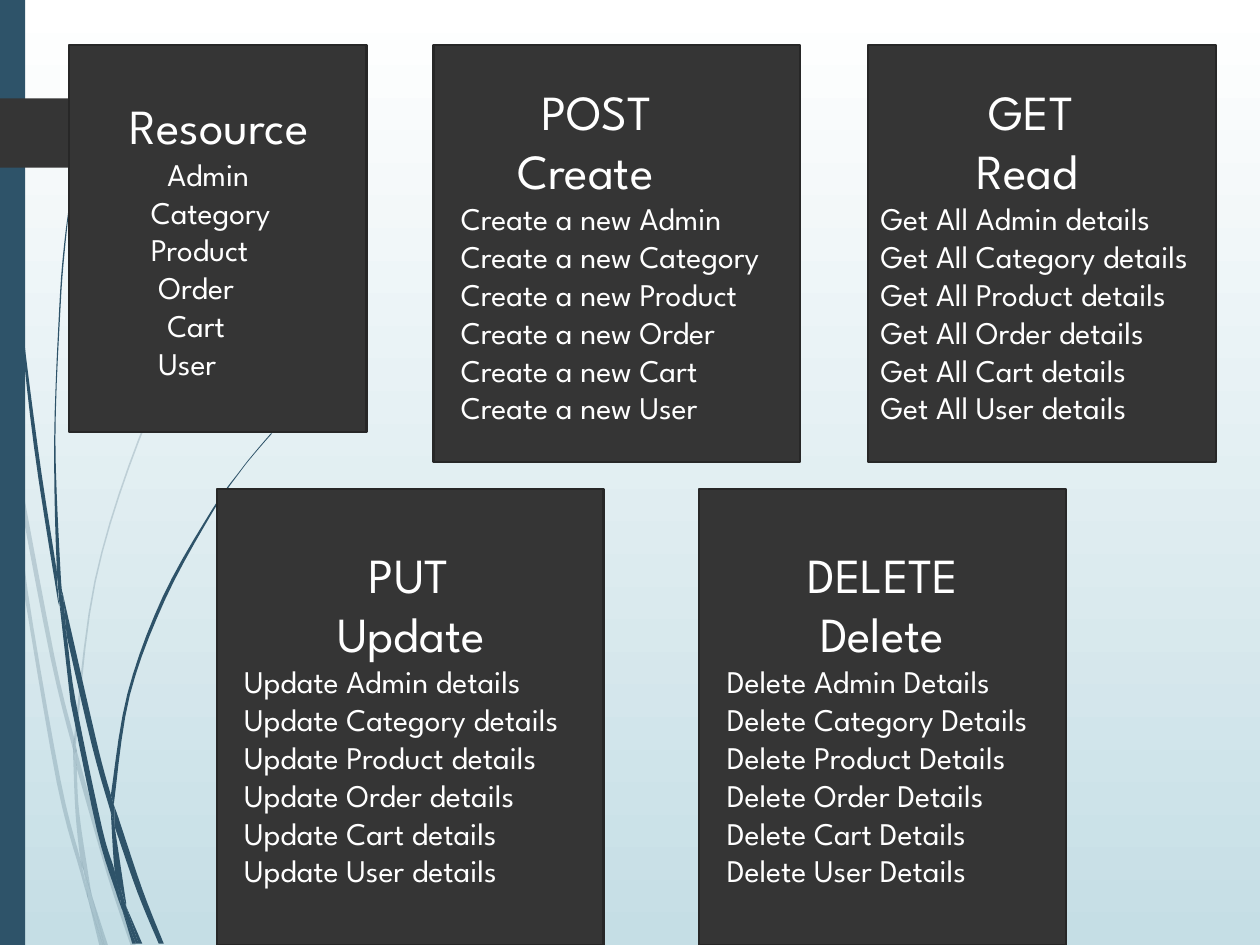
"""Builds a slide of API methods for each resource, over a backdrop of curved strands."""
import lxml.etree
import pptx
import pptx.dml.color
import pptx.enum.shapes
import pptx.enum.text
import pptx.oxml.ns
import pptx.util

Inches = pptx.util.Inches
Pt = pptx.util.Pt
RGB = pptx.dml.color.RGBColor
RECT = pptx.enum.shapes.MSO_SHAPE.RECTANGLE

BLUE = RGB(0x2E, 0x53, 0x69)
DARK = RGB(0x35, 0x35, 0x35)
EDGE = RGB(0x27, 0x27, 0x27)
WHITE = RGB(0xFF, 0xFF, 0xFF)
PALE = RGB(0xC5, 0xDE, 0xE5)

HEAD = {"name": "League Spartan", "size": Pt(28)}
BODY = {"name": "League Spartan", "size": Pt(18)}
FRAME = {"word_wrap": True, "vertical_anchor": pptx.enum.text.MSO_ANCHOR.MIDDLE}
NAMES = ["Admin", "Category", "Product", "Order", "Cart", "User"]

FAINT = [
    ([(0.08, 3.5), (0.06, 3.22), (0, 2.82)], [(0, 2.99), (0.07, 3.44)]),
    ([(0.1, 3.45), (0.43, 5.2), (0.59, 5.86)],
     [(0.59, 5.99), (0.4, 5.22), (0.12, 3.76)]),
    ([(0.61, 5.96), (0.64, 6.07), (0.88, 6.92), (1.08, 7.51)],
     [(1.04, 7.51), (0.85, 6.94), (0.61, 6.1)]),
    ([(0.73, 7.11), (0.86, 7.51)], [(0.83, 7.51)]),
    ([(0.08, 3.5), (0.12, 3.76), (0.22, 4.69), (0.48, 6.19), (0.64, 6.83), (0.69, 7.07)],
     [(0.7, 7.14), (0.64, 6.93), (0.45, 6.21), (0.19, 4.7)]),
    ([(0.58, 5.99), (0.6, 6.46), (0.64, 6.83), (0.67, 6.92), (0.73, 7.11)],
     [(0.72, 7.06), (0.63, 6.46), (0.61, 6.1), (0.61, 6.08)]),
    ([(0.61, 5.96), (0.61, 5.84), (0.76, 4.62), (1.11, 3.49), (1.59, 2.45),
      (1.87, 1.98), (2.01, 1.75), (2.17, 1.54)],
     [(2.17, 1.53), (2.01, 1.75), (1.86, 1.97), (1.58, 2.44), (1.1, 3.48),
      (0.75, 4.61), (0.59, 5.84), (0.59, 5.86)]),
    ([(0.7, 7.14), (0.79, 7.51)], [(0.82, 7.51)]),
    ([(0.61, 6.08), (0.61, 6.1), (0.61, 5.96)], [(0.59, 5.86), (0.58, 5.99)]),
    ([(0.65, 6.83), (0.69, 7.07), (0.7, 7.14), (0.82, 7.51)],
     [(0.83, 7.51), (0.73, 7.11), (0.67, 6.92)]),
]
BOLD = [
    ([(0.02, 0), (0.03, 0.48), (0.05, 1.1), (0.14, 2.33), (0.27, 3.55), (0.46, 4.77)],
     [(0.47, 4.81), (0.45, 4.57), (0.45, 4.53), (0.3, 3.55), (0.15, 2.32),
      (0.06, 1.09), (0.04, 0.48), (0.03, 0)]),
    ([(0.5, 4.72), (0.77, 5.9), (0.88, 6.31)],
     [(0.88, 6.45), (0.73, 5.92), (0.53, 5.05)]),
    ([(0.91, 6.41), (0.94, 6.49), (1.13, 7.06), (1.3, 7.49)],
     [(1.26, 7.49), (1.09, 7.08), (0.91, 6.56)]),
    ([(0.47, 4.77), (0.53, 5.05), (0.6, 5.56), (0.81, 6.57), (0.91, 6.91), (0.96, 7.17)],
     [(0.97, 7.22), (0.92, 7.08), (0.77, 6.59), (0.56, 5.57)]),
    ([(0.5, 4.72), (0.48, 4.53), (0.44, 3.49), (0.48, 2.45), (0.52, 1.93), (0.58, 1.41)],
     [(0.58, 1.41), (0.51, 1.93), (0.47, 2.45), (0.43, 3.49), (0.45, 4.49), (0.49, 4.72)]),
    ([(1, 7.19), (1.13, 7.49)], [(1.1, 7.49)]),
    ([(0.45, 4.49), (0.49, 4.72), (0.5, 4.72), (0.53, 5.05)], [(0.47, 4.77), (0.45, 4.53)]),
    ([(0.91, 6.41), (0.91, 6.33), (1.03, 5.52), (1.31, 4.76), (1.69, 4.06),
      (1.91, 3.74), (2.03, 3.59), (2.16, 3.44)],
     [(2.15, 3.44), (2.03, 3.58), (1.91, 3.73), (1.68, 4.05), (1.29, 4.74),
      (1.01, 5.51), (0.88, 6.31)]),
    ([(0.97, 7.22), (1.05, 7.49)], [(1.08, 7.49)]),
    ([(0.88, 6.45), (0.91, 6.91), (0.96, 7.06), (1, 7.19)],
     [(1, 7.16), (0.91, 6.56), (0.9, 6.51)]),
    ([(0.88, 6.45), (0.9, 6.51), (0.91, 6.56), (0.91, 6.41)], [(0.88, 6.31)]),
    ([(0.91, 6.91), (0.96, 7.17), (0.97, 7.22), (1.08, 7.49)],
     [(1.1, 7.49), (1, 7.19), (0.96, 7.06)]),
]
TAG = [(0, 0.78), (1.21, 0.78), (1.24, 0.79), (1.49, 1.04), (1.49, 1.07),
       (1.24, 1.32), (1.21, 1.33), (0, 1.33)]

CARDS = [
    ((0.55, 0.36, 2.36, 3.07), [("Resource", 0.38)],
     "{}", [0.68, 0.55, 0.55, 0.61, 0.68, 0.61]),
    ((3.44, 0.36, 2.91, 3.31), [("POST", 0.76), ("Create", 0.57)],
     "Create a new {}", [0.12] * 6),
    ((6.89, 0.36, 2.76, 3.31), [("GET", 0.86), ("Read", 0.76)],
     "Get All {} details", [0] * 6),
    ((1.72, 3.88, 3.07, 3.62), [("PUT", 1.11), ("Update", 0.86)],
     "Update {} details", [0.12] * 6),
    ((5.55, 3.88, 2.91, 3.62), [("DELETE", 0.76), ("Delete", 0.86)],
     "Delete {} Details", [0.12] * 6),
]


def apply(item, style):
    for key, value in style.items():
        setattr(item, key, value)


def paint(shape, fill, line=None, alpha=None):
    shape.shadow.inherit = False
    shape.fill.solid()
    shape.fill.fore_color.rgb = fill
    if line is None:
        shape.line.fill.background()
    else:
        shape.line.color.rgb = line
        shape.line.width = Pt(1.25)
    if alpha is not None:
        qn = pptx.oxml.ns.qn
        color = shape.fill._xPr.find(qn("a:solidFill")).find(qn("a:srgbClr"))
        lxml.etree.SubElement(color, qn("a:alpha")).set("val", str(alpha * 1000))


def smooth(edge, steps=5):
    ends = [edge[0], *edge, edge[-1]]
    out = [edge[0]]
    for a, b, c, d in zip(ends, ends[1:], ends[2:], ends[3:]):
        for step in range(1, steps + 1):
            t = step / steps
            out.append(tuple(
                q + t * ((r - p) + t * ((2 * p - 5 * q + 4 * r - s)
                                        + t * (3 * q - p - 3 * r + s))) / 2
                for p, q, r, s in zip(a, b, c, d)))
    return out


def outline(shapes, points, fill, alpha=None):
    spots = [(Inches(x), Inches(y)) for x, y in points]
    pen = shapes.build_freeform(*spots[0])
    pen.add_line_segments(spots[1:], close=True)
    paint(pen.convert_to_shape(), fill, alpha=alpha)


def strands(slide, pairs, alpha=None):
    group = slide.shapes.add_group_shape()
    for one, two in pairs:
        outline(group.shapes, smooth(one) + smooth(two), BLUE, alpha)


def block(slide, place, fill, line=None):
    shape = slide.shapes.add_shape(RECT, *map(Inches, place))
    paint(shape, fill, line)
    return shape


def card(slide, place, heads, form, dents):
    frame = block(slide, place, DARK, EDGE).text_frame
    apply(frame, FRAME)
    rows = [(text, dent, HEAD) for text, dent in heads]
    rows += [(form.format(name), dent, BODY) for name, dent in zip(NAMES, dents)]
    for i, (text, dent, style) in enumerate(rows):
        para = frame.paragraphs[0] if i == 0 else frame.add_paragraph()
        para.alignment = pptx.enum.text.PP_ALIGN.LEFT
        para._p.get_or_add_pPr().set("marL", str(Inches(dent)))
        run = para.add_run()
        run.text = text
        apply(run.font, style)
        run.font.color.rgb = WHITE


def backdrop(slide):
    fill = slide.background.fill
    fill.gradient()
    fill.gradient_angle = 270
    for stop, color in zip(fill.gradient_stops, (WHITE, PALE)):
        stop.color.rgb = color
    strands(slide, FAINT, 20)
    strands(slide, BOLD)
    block(slide, (0, 0, 0.2, 7.5), BLUE)
    outline(slide.shapes, TAG, DARK)


def main():
    deck = pptx.Presentation()
    apply(deck, {"slide_width": Inches(10), "slide_height": Inches(7.5)})
    slide = deck.slides.add_slide(deck.slide_layouts[6])
    backdrop(slide)
    for item in CARDS:
        card(slide, *item)
    deck.save("out.pptx")


main()
